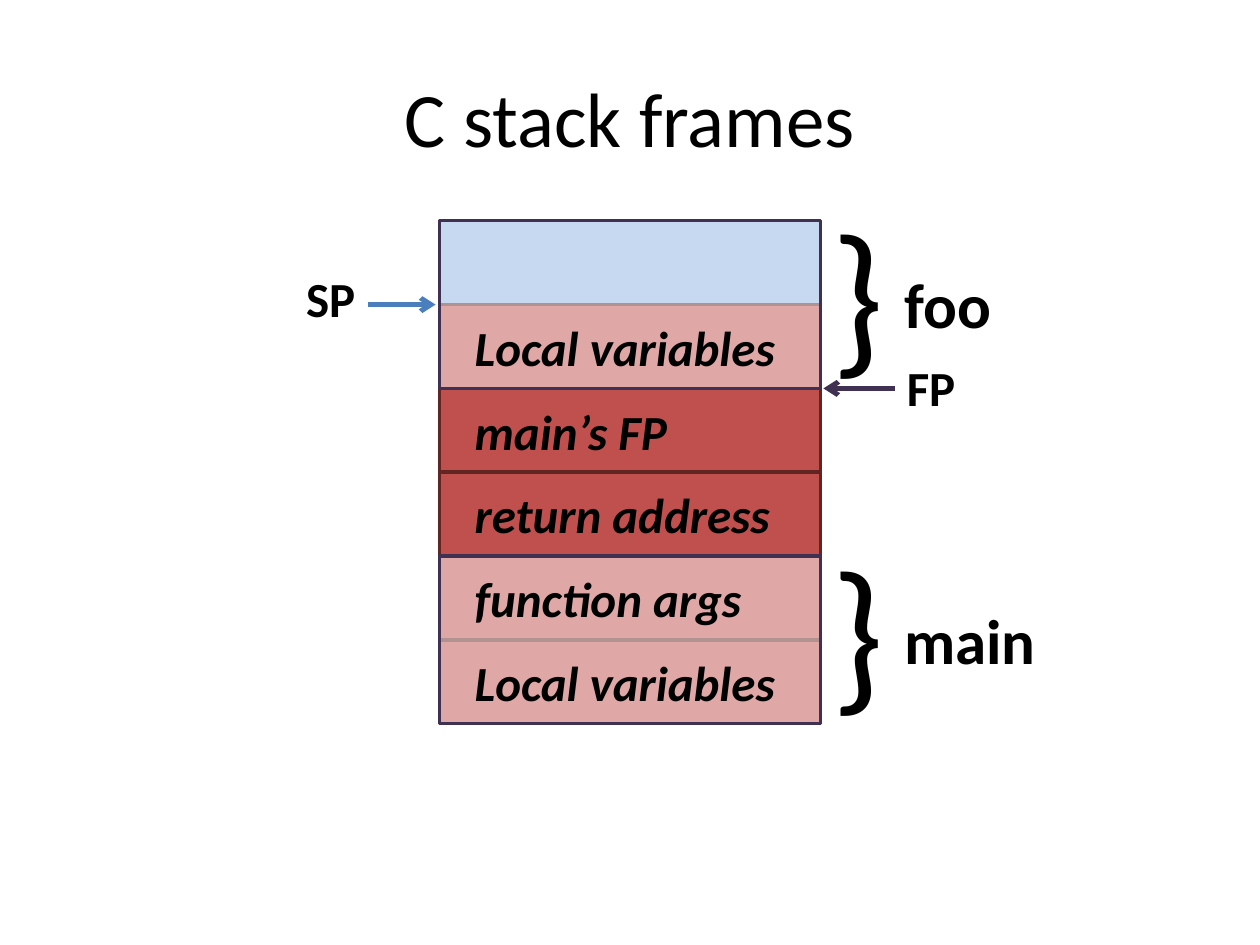
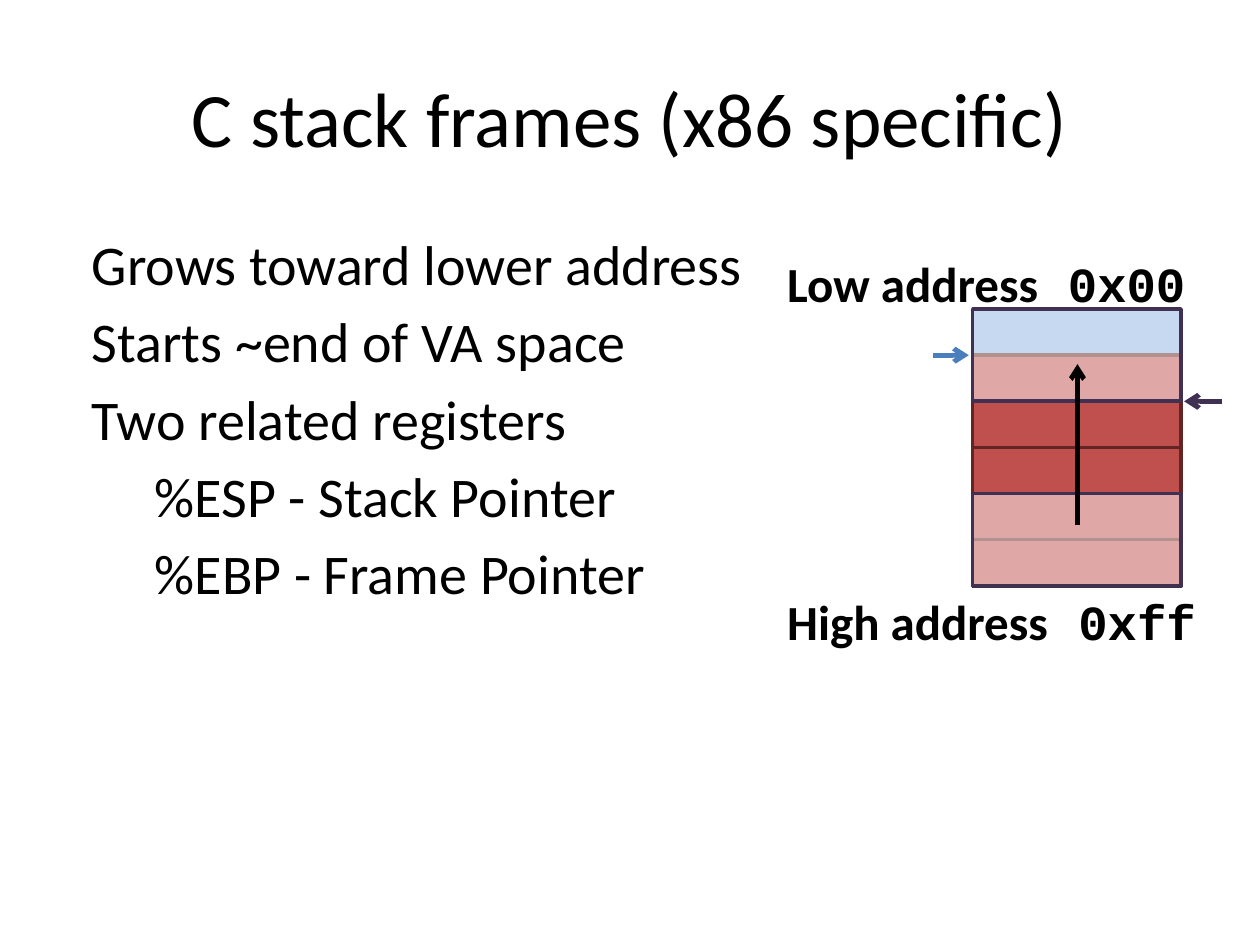
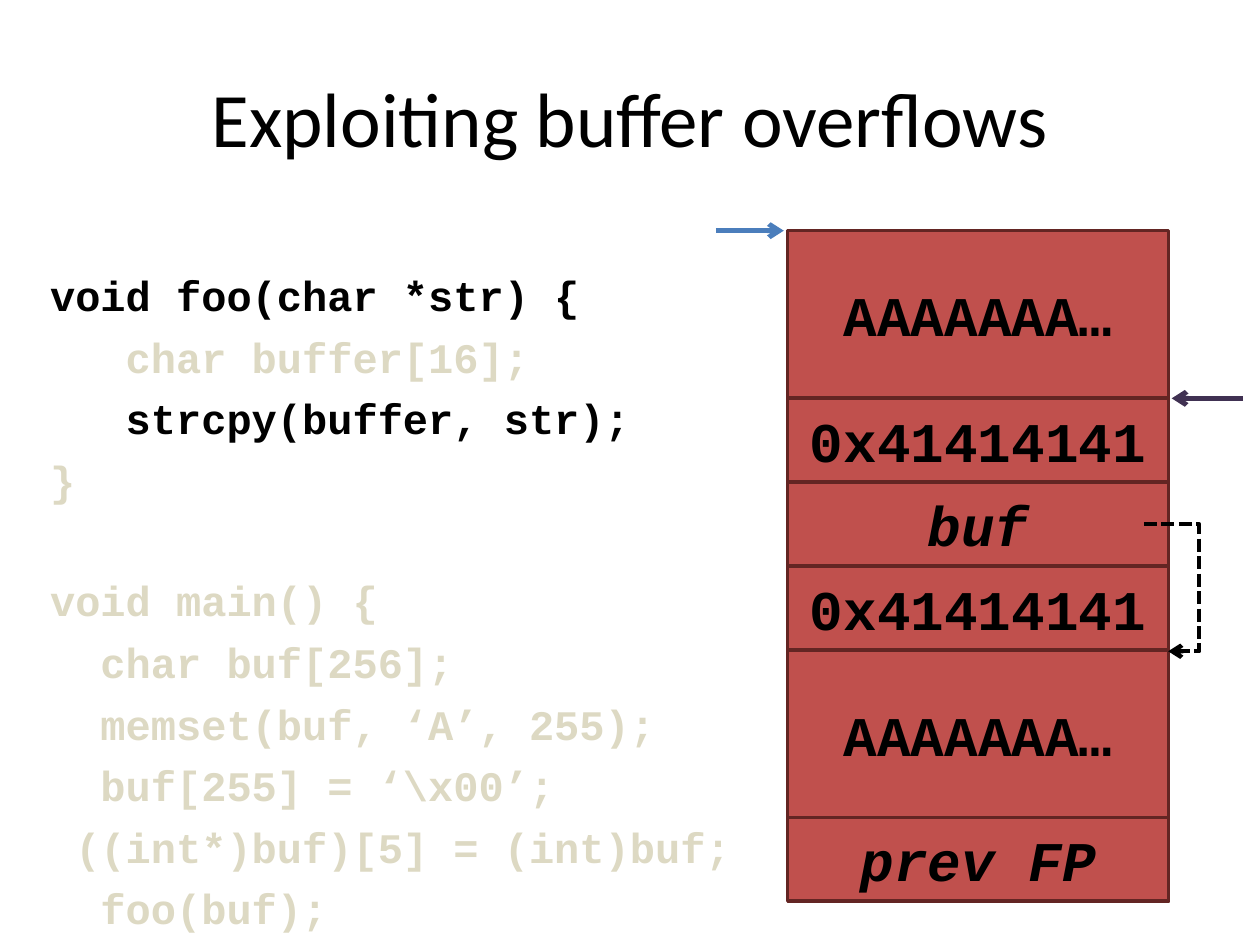
"""Build three slides on C stack frames and buffer overflows."""
from lxml.etree import SubElement
from pptx import Presentation
from pptx.dml.color import RGBColor
from pptx.enum.dml import MSO_LINE
from pptx.enum.shapes import MSO_CONNECTOR, MSO_SHAPE
from pptx.enum.text import MSO_ANCHOR, PP_ALIGN
from pptx.oxml.ns import qn
from pptx.util import Cm, Pt

BLACK = RGBColor(0x00, 0x00, 0x00)
WHITE = RGBColor(0xFF, 0xFF, 0xFF)
BLUE = RGBColor(0x8E, 0xB4, 0xE3)
CREAM = RGBColor(0xEE, 0xEC, 0xE1)
RED = RGBColor(0xC0, 0x50, 0x4D)
MAROON = RGBColor(0x63, 0x25, 0x23)
PURPLE = RGBColor(0x40, 0x31, 0x52)
STEEL = RGBColor(0x4B, 0x7E, 0xBC)
FADED = RGBColor(0xDD, 0xD9, 0xC3)
SANS, MONO = "Calibri", "Courier New"


def write(slide, x, y, w, h, lines, size, font=SANS, bold=False, italic=False, gap=0):
    frame = slide.shapes.add_textbox(Cm(x), Cm(y), Cm(w), Cm(h)).text_frame
    frame.word_wrap = True
    frame.text = "\n".join(lines)
    for i, para in enumerate(frame.paragraphs):
        if i and gap:
            para.space_before = Pt(gap)
        para.font.name, para.font.size = font, Pt(size)
        para.font.bold, para.font.italic = bold, italic
        para.font.color.rgb = BLACK
    return frame


def arrow(slide, x1, y1, x2, y2, color, kind=MSO_CONNECTOR.STRAIGHT, dash=None):
    link = slide.shapes.add_connector(kind, Cm(x1), Cm(y1), Cm(x2), Cm(y2))
    link.line.color.rgb = color
    link.line.width = Pt(2.5 if dash else 2.75)
    if dash:
        link.line.dash_style = dash
    props = link._element.spPr
    SubElement(props.find(qn("a:ln")), qn("a:tailEnd"), type="arrow")
    SubElement(props, qn("a:effectLst"))
    return link


deck = Presentation()
deck.slide_width, deck.slide_height = Cm(25.4), Cm(19.05)
slides = []
for title in ["C stack frames", "C stack frames (x86 specific)",
              "Exploiting buffer overflows"]:
    slide = deck.slides.add_slide(deck.slide_layouts[6])
    frame = write(slide, 1.27, 0.76, 22.86, 3.18, [title], 44)
    frame.vertical_anchor = MSO_ANCHOR.MIDDLE
    frame.paragraphs[0].alignment = PP_ALIGN.CENTER
    slides.append(slide)
calls, regs, smash = slides

facts = write(regs, 1.6, 4.5, 22.5, 12.5, [
    "Grows toward lower address",
    "Starts ~end of VA space",
    "Two related registers",
    "%ESP - Stack Pointer",
    "%EBP - Frame Pointer",
], 32, gap=5.8)
for para in facts.paragraphs[3:]:
    para._p.get_or_add_pPr().set("marL", str(Cm(1.27)))

code = write(smash, 0.76, 5.31, 22.5, 12.85, [
    "void foo(char *str) {",
    "   char buffer[16];",
    "   strcpy(buffer, str);",
    "}",
    "void main() {",
    "  char buf[256];",
    "  memset(buf, ‘A’, 255);",
    "  buf[255] = ‘\\x00’;",
    " ((int*)buf)[5] = (int)buf;",
    "  foo(buf);",
    "}",
], 24, MONO, True, gap=6.4)
for i, para in enumerate(code.paragraphs):
    if i not in (0, 2):
        para.font.color.rgb = FADED
code.paragraphs[4].space_before = Pt(40)

cells = [(0, 1, BLUE, CREAM, "")]
cells += [(row, 1, RED, MAROON, "") for row in range(1, 6)]
cells += [(row, 2, WHITE, PURPLE, "") for row in (4, 0)]
spill = [(row, span, RED, MAROON, words) for row, span, words in [
    (0, 2, "AAAAAAA…"), (2, 1, "0x41414141"), (3, 1, "buf"),
    (4, 1, "0x41414141"), (5, 2, "AAAAAAA…"), (7, 1, "prev FP")]]
stacks = [(calls, 8.86, 4.45, 7.68, 1.69, 1, cells),
          (regs, 19.61, 6.23, 4.2, 0.93, 1, cells),
          (smash, 15.88, 4.65, 7.68, 1.69, 0, spill)]
for slide, x, y, w, h, top, rows in stacks:
    for row, span, fill, edge, words in rows:
        cell = slide.shapes.add_shape(
            MSO_SHAPE.RECTANGLE, Cm(x), Cm(y + row * h), Cm(w), Cm(span * h))
        cell.shadow.inherit = False
        cell.fill.solid()
        cell.fill.fore_color.rgb = fill
        cell.line.color.rgb = edge
        cell.line.width = Pt(2)
        if fill == WHITE:
            tint = cell._element.spPr.find(qn("a:solidFill"))[0]
            SubElement(tint, qn("a:alpha"), val="50000")
        if words:
            cell.text_frame.text = words
            para = cell.text_frame.paragraphs[0]
            para.alignment = PP_ALIGN.CENTER
            para.font.name, para.font.size = MONO, Pt(32)
            para.font.bold = True
            para.font.italic = words in ("buf", "prev FP")
            para.font.color.rgb = BLACK
    scale = w / 7.68
    sp, fp = y + top * h, y + 2 * h
    arrow(slide, x - 1.45 * scale, sp, x - 0.08, sp, STEEL)
    arrow(slide, x + w + 1.5 * scale, fp, x + w + 0.06, fp, PURPLE)

for i, words in enumerate(["Local variables", "main’s FP", "return address",
                           "function args", "Local variables"]):
    write(calls, 9.32, 6.27 + 1.69 * i, 6.99, 1.45, [words], 28, bold=True, italic=True)
for y, name in [(3.68, "foo"), (10.46, "main")]:
    write(calls, 16.51, y, 1.27, 4.4, ["}"], 96)
    write(calls, 17.98, y + 1.54, 6.99, 1.8, [name], 36, bold=True)
for x, y, name in [(5.92, 5.28, "SP"), (18.03, 7.09, "FP")]:
    write(calls, x, y, 1.9, 1.45, [name], 28, bold=True)

for y, label, value, stop in [(4.98, "Low address", "0x00", 5.66),
                              (11.79, "High address", "0xff", 5.87)]:
    frame = write(regs, 15.62, y, 9.02, 1.45, [label + "\t"], 28, bold=True)
    para = frame.paragraphs[0]
    run = para.add_run()
    run.text, run.font.name = value, MONO
    props = para._p.get_or_add_pPr()
    tabs = SubElement(props, qn("a:tabLst"))
    SubElement(tabs, qn("a:tab"), pos=str(Cm(stop)), algn="l")
    props.insert(0, tabs)
arrow(regs, 21.72, 10.59, 21.72, 7.34, BLACK)

jump = arrow(smash, 23.06, 10.57, 23.55, 13.13, BLACK, MSO_CONNECTOR.ELBOW,
             MSO_LINE.SQUARE_DOT)
geom = jump._element.spPr.find(qn("a:prstGeom"))
SubElement(geom.find(qn("a:avLst")), qn("a:gd"), name="adj1", fmla="val 228000")

deck.save("out.pptx")
